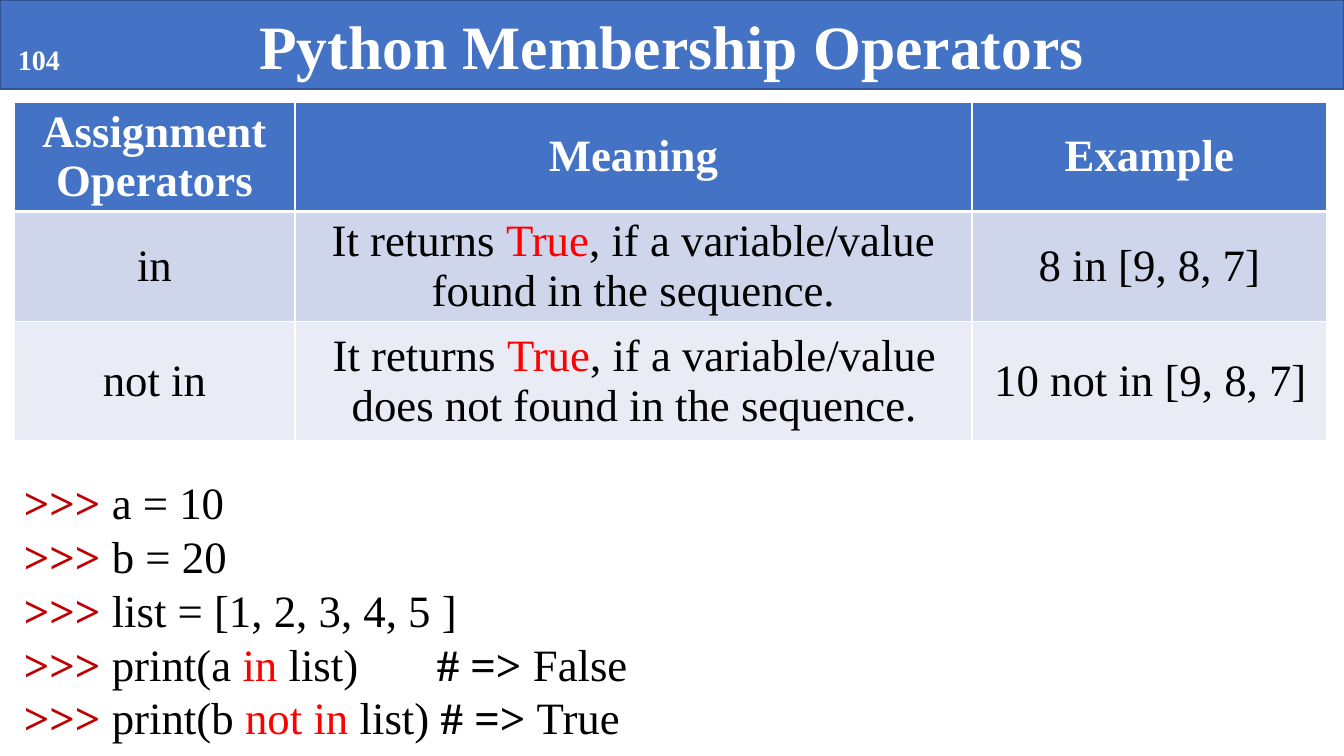
from dataclasses import dataclass

from lxml.etree import SubElement
from pptx import Presentation
from pptx.dml.color import RGBColor
from pptx.enum.shapes import MSO_SHAPE
from pptx.enum.text import MSO_ANCHOR, MSO_AUTO_SIZE, PP_ALIGN
from pptx.oxml.ns import qn
from pptx.util import Pt


@dataclass(frozen=True)
class Theme:
    """Hold the colours, font and type sizes of the slide."""
    font: str = "Times New Roman"
    blue: str = "4472C4"
    edge: str = "325491"
    bands: tuple = ("CFD5EA", "E9EBF5")
    white: str = "FFFFFF"
    black: str = "000000"
    red: str = "FF0000"
    prompt: str = "C00000"
    title_size: int = 44
    body_size: int = 32
    number_size: int = 20


THEME = Theme()
EMU_PER_PX = 914400 / 100.8
COLUMNS = (281, 677, 355)
ROWS = (109, 110, 119)
TRUE = ("True", THEME.red, False)
ARROW = ("# => ", THEME.black, True)
TABLE = (
    (["Assignment Operators"], ["Meaning"], ["Example"]),
    (["in"], ["It returns ", TRUE, ", if a variable/value found in the sequence."],
     ["8 in [9, 8, 7]"]),
    (["not in"], ["It returns ", TRUE, ", if a variable/value does not found in the sequence."],
     ["10 not in [9, 8, 7]"]),
)
CODE = (
    ["a = 10"],
    ["b = 20"],
    ["list = [1, 2, 3, 4, 5 ]"],
    ["print(a ", ("in", THEME.red, False), " list)\t", ARROW, "False"],
    ["print(b ", ("not in", THEME.red, False), " list) ", ARROW, "True"],
)


def px(length):
    """Turn pixels into EMU."""
    return round(length * EMU_PER_PX)


def colour(value):
    """Turn a hex string into a colour."""
    return RGBColor.from_string(value)


def write(para, spans, size, tone, bold=False, align=PP_ALIGN.LEFT):
    """Fill a paragraph with plain strings and (text, colour, bold) spans."""
    para.alignment = align
    para.font.name = THEME.font
    para.font.size = Pt(size)
    for span in spans:
        text, span_tone, span_bold = (span, tone, bold) if isinstance(span, str) else span
        run = para.add_run()
        run.text = text
        run.font.bold = span_bold
        run.font.color.rgb = colour(span_tone)


def add_banner(page, title):
    """Draw the title bar across the top."""
    banner = page.shapes.add_shape(MSO_SHAPE.RECTANGLE, 0, 0, px(1344), px(89))
    banner.shadow.inherit = False
    banner.fill.solid()
    banner.fill.fore_color.rgb = colour(THEME.blue)
    banner.line.color.rgb = colour(THEME.edge)
    banner.line.width = Pt(1)
    banner.text_frame.vertical_anchor = MSO_ANCHOR.MIDDLE
    write(banner.text_frame.paragraphs[0], [title], THEME.title_size, THEME.white,
          True, PP_ALIGN.CENTER)


def add_text_frame(page, left, top, width, height, wrap):
    """Add a text box and return its frame."""
    frame = page.shapes.add_textbox(px(left), px(top), px(width), px(height)).text_frame
    frame.word_wrap = wrap
    frame.auto_size = MSO_AUTO_SIZE.SHAPE_TO_FIT_TEXT
    return frame


def set_borders(cell, top, bottom):
    """Give a cell white borders, with top and bottom widths in points."""
    properties = cell._tc.get_or_add_tcPr()
    widths = {"a:lnL": 1, "a:lnR": 1, "a:lnT": top, "a:lnB": bottom}
    for tag, width in widths.items():
        line = SubElement(properties, qn(tag), w=str(Pt(width)))
        fill = SubElement(line, qn("a:solidFill"))
        SubElement(fill, qn("a:srgbClr"), val=THEME.white)


def add_operator_table(page):
    """Draw the table of membership operators."""
    frame = page.shapes.add_table(len(ROWS), len(COLUMNS), px(14), px(102),
                                  px(sum(COLUMNS)), px(sum(ROWS)))
    table = frame.table
    for column, width in zip(table.columns, COLUMNS):
        column.width = px(width)
    for index, (row, height, contents) in enumerate(zip(table.rows, ROWS, TABLE)):
        row.height = px(height)
        header = index == 0
        for position, (cell, spans) in enumerate(zip(row.cells, contents)):
            cell.vertical_anchor = MSO_ANCHOR.MIDDLE
            if index == 2 and position > 0:
                cell.margin_left = cell.margin_top = px(10)
                cell.margin_right, cell.margin_bottom = px(8), px(9)
            set_borders(cell, 3 if index == 1 else 1, 3 if header else 1)
            cell.fill.solid()
            cell.fill.fore_color.rgb = colour(THEME.blue if header else THEME.bands[index - 1])
            write(cell.text_frame.paragraphs[0], spans, THEME.body_size,
                  THEME.white if header else THEME.black, header, PP_ALIGN.CENTER)


def add_tab_stop(para, position):
    """Set a left tab stop on a paragraph."""
    properties = para._p.get_or_add_pPr()
    stops = SubElement(properties, qn("a:tabLst"))
    SubElement(stops, qn("a:tab"), pos=str(px(position)), algn="l")


def add_code(page):
    """Write the interpreter session."""
    frame = add_text_frame(page, 14, 470, 676, 281, True)
    for index, spans in enumerate(CODE):
        para = frame.add_paragraph() if index else frame.paragraphs[0]
        if any("\t" in span for span in spans):
            add_tab_stop(para, 413)
        write(para, [(">>> ", THEME.prompt, True), *spans], THEME.body_size, THEME.black)


def main():
    """Build and save the deck."""
    deck = Presentation()
    deck.slide_width, deck.slide_height = px(1344), px(756)
    page = deck.slides.add_slide(deck.slide_layouts[6])
    add_banner(page, "Python Membership Operators")
    add_operator_table(page)
    add_code(page)
    number = add_text_frame(page, 8, 38, 62, 44, False)
    write(number.paragraphs[0], ["104"], THEME.number_size, THEME.white, True)
    deck.save("out.pptx")


if __name__ == "__main__":
    main()
